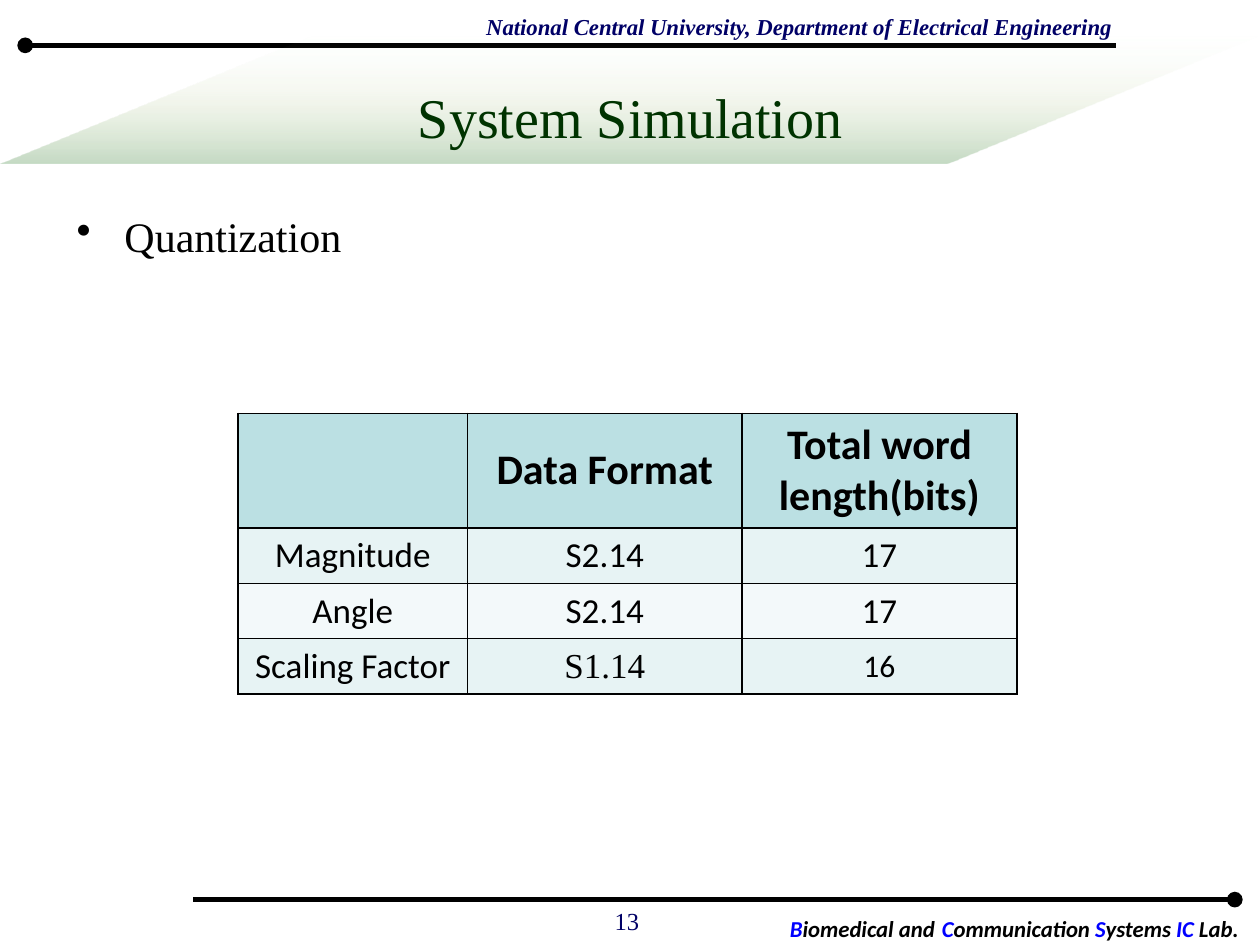
from lxml.etree import SubElement
from pptx import Presentation
from pptx.dml.color import RGBColor
from pptx.enum.shapes import MSO_CONNECTOR, MSO_SHAPE
from pptx.enum.text import MSO_ANCHOR, MSO_AUTO_SIZE, PP_ALIGN
from pptx.oxml import parse_xml
from pptx.oxml.ns import nsdecls, qn
from pptx.util import Inches, Pt

BLACK = RGBColor(0x00, 0x00, 0x00)
WHITE = RGBColor(0xFF, 0xFF, 0xFF)
NAVY = RGBColor(0x00, 0x00, 0x66)
BLUE = RGBColor(0x00, 0x00, 0xFF)
DARK_GREEN = RGBColor(0x00, 0x33, 0x00)
HEADER_FILL = RGBColor(0xBB, 0xE0, 0xE3)
BAND_FILLS = [RGBColor(0xF3, 0xF9, 0xFA), RGBColor(0xE7, 0xF3, 0xF4)]
SERIF = "Times New Roman"
SANS = "Calibri"

BANNER_STOPS = [(0, "DDEBCF", 0), (50, "9CB86E", 12), (100, "156B13", 25)]
LAB_NAME = [
    ("B", BLUE), ("iomedical and", BLACK), (" ", None), ("C", BLUE),
    ("ommunication ", BLACK), ("S", BLUE), ("ystems ", BLACK),
    ("IC", BLUE), (" Lab.", BLACK),
]
FORMATS = [
    ["", "Data Format", "Total word length(bits)"],
    ["Magnitude", "S2.14", "17"],
    ["Angle", "S2.14", "17"],
    ["Scaling Factor", "S1.14", "16"],
]
CELL_FONTS = {(3, 1): (SERIF, 20), (3, 2): (SANS, 18)}


def set_font(font, name, size, color, bold=False, italic=False):
    font.name = name
    font.size = Pt(size)
    font.color.rgb = color
    font.bold = bold
    font.italic = italic


def add_text(page, left, top, width, height, text, wrap=True):
    box = page.shapes.add_textbox(Inches(left), Inches(top), Inches(width), Inches(height))
    box.text_frame.word_wrap = wrap
    para = box.text_frame.paragraphs[0]
    para.text = text
    return para


def add_rule(page, start, end, y):
    rule = page.shapes.add_connector(
        MSO_CONNECTOR.STRAIGHT, Inches(start), Inches(y), Inches(end), Inches(y))
    rule.line.color.rgb = BLACK
    rule.line.width = Pt(3)
    SubElement(rule.line._get_or_add_ln(), qn("a:headEnd"), type="oval")
    SubElement(rule._element.spPr, qn("a:effectLst"))


def add_banner(page, left, top, width, height):
    banner = page.shapes.add_shape(
        MSO_SHAPE.PARALLELOGRAM, Inches(left), Inches(top), Inches(width), Inches(height))
    banner.adjustments[0] = 2.44
    banner.shadow.inherit = False
    banner.line.fill.background()
    stops = "".join(
        f'<a:gs pos="{position * 1000}"><a:srgbClr val="{color}">'
        f'<a:alpha val="{opacity * 1000}"/></a:srgbClr></a:gs>'
        for position, color, opacity in BANNER_STOPS)
    gradient = parse_xml(
        f'<a:gradFill {nsdecls("a")} rotWithShape="1"><a:gsLst>{stops}</a:gsLst>'
        '<a:lin ang="5400000" scaled="0"/></a:gradFill>')
    banner._element.spPr.find(qn("a:prstGeom")).addnext(gradient)


def add_header(page):
    add_rule(page, 0.2, 8.86, 0.36)
    para = add_text(page, 3.76, 0.05, 5.18, 0.32,
                    "National Central University, Department of Electrical Engineering",
                    wrap=False)
    set_font(para.font, SERIF, 13, NAVY, bold=True, italic=True)
    add_banner(page, 0, 0.28, 10, 1.02)


def add_lab_name(page, left, top, width, height):
    box = page.shapes.add_shape(
        MSO_SHAPE.RECTANGLE, Inches(left), Inches(top), Inches(width), Inches(height))
    box.shadow.inherit = False
    box.fill.solid()
    box.fill.fore_color.rgb = WHITE
    box.line.fill.background()
    frame = box.text_frame
    frame.word_wrap = True
    frame.auto_size = MSO_AUTO_SIZE.SHAPE_TO_FIT_TEXT
    frame.vertical_anchor = MSO_ANCHOR.TOP
    para = frame.paragraphs[0]
    para.alignment = PP_ALIGN.CENTER
    for text, color in LAB_NAME:
        span = para.add_run()
        span.text = text
        if color is None:
            set_font(span.font, SANS, 18, BLACK)
        else:
            set_font(span.font, SANS, 13, color, bold=True, italic=True)


def add_footer(page):
    add_lab_name(page, 6.1, 7.14, 3.9, 0.32)
    add_rule(page, 9.8, 1.53, 7.14)
    number = add_text(page, 3.82, 7.14, 1.35, 0.36, "13")
    number.alignment = PP_ALIGN.RIGHT
    set_font(number.font, SERIF, 14, NAVY)


def place_title(page, left, top, width, height):
    title = page.shapes.title
    title.left, title.top = Inches(left), Inches(top)
    title.width, title.height = Inches(width), Inches(height)
    title.text_frame.vertical_anchor = MSO_ANCHOR.MIDDLE
    para = title.text_frame.paragraphs[0]
    para.text = "System Simulation"
    para.alignment = PP_ALIGN.CENTER
    set_font(para.font, SERIF, 32, DARK_GREEN)
    page.shapes._spTree.append(title._element)


def add_body(page, left, top, width, height):
    para = add_text(page, left, top, width, height, "Quantization")
    set_font(para.font, SERIF, 24, BLACK)
    para.space_before = Pt(5)
    properties = para._p.get_or_add_pPr()
    properties.set("marL", str(Inches(0.38)))
    properties.set("indent", str(Inches(-0.38)))
    bullet = parse_xml(f'<a:buChar {nsdecls("a")} char="•"/>')
    properties.find(qn("a:spcBef")).addnext(bullet)


def add_borders(cell):
    properties = cell._tc.get_or_add_tcPr()
    for index, side in enumerate(("lnL", "lnR", "lnT", "lnB")):
        border = parse_xml(
            f'<a:{side} {nsdecls("a")} w="{Pt(1)}"><a:solidFill>'
            f'<a:srgbClr val="{BLACK}"/></a:solidFill></a:{side}>')
        properties.insert(index, border)


def add_format_table(page, left, top, widths, heights):
    table = page.shapes.add_table(
        len(heights), len(widths), Inches(left), Inches(top),
        Inches(sum(widths)), Inches(sum(heights))).table
    for column, width in zip(table.columns, widths):
        column.width = Inches(width)
    for row_index, (row, height) in enumerate(zip(table.rows, heights)):
        row.height = Inches(height)
        is_header = row_index == 0
        for column_index, cell in enumerate(row.cells):
            cell.fill.solid()
            cell.fill.fore_color.rgb = HEADER_FILL if is_header else BAND_FILLS[row_index % 2]
            cell.vertical_anchor = MSO_ANCHOR.MIDDLE
            add_borders(cell)
            para = cell.text_frame.paragraphs[0]
            para.text = FORMATS[row_index][column_index]
            para.alignment = PP_ALIGN.CENTER
            default = (SANS, 24 if is_header else 20)
            name, size = CELL_FONTS.get((row_index, column_index), default)
            set_font(para.font, name, size, BLACK, bold=is_header)


def main():
    deck = Presentation()
    deck.slide_width, deck.slide_height = Inches(10), Inches(7.5)
    page = deck.slides.add_slide(deck.slide_layouts[5])
    add_header(page)
    add_footer(page)
    place_title(page, 0.51, 0.3, 8.99, 1.25)
    add_body(page, 0.51, 1.62, 9, 5.2)
    add_format_table(page, 1.89, 3.28, [1.82, 2.18, 2.18], [0.91] + [0.44] * 3)
    deck.save("out.pptx")


if __name__ == "__main__":
    main()
